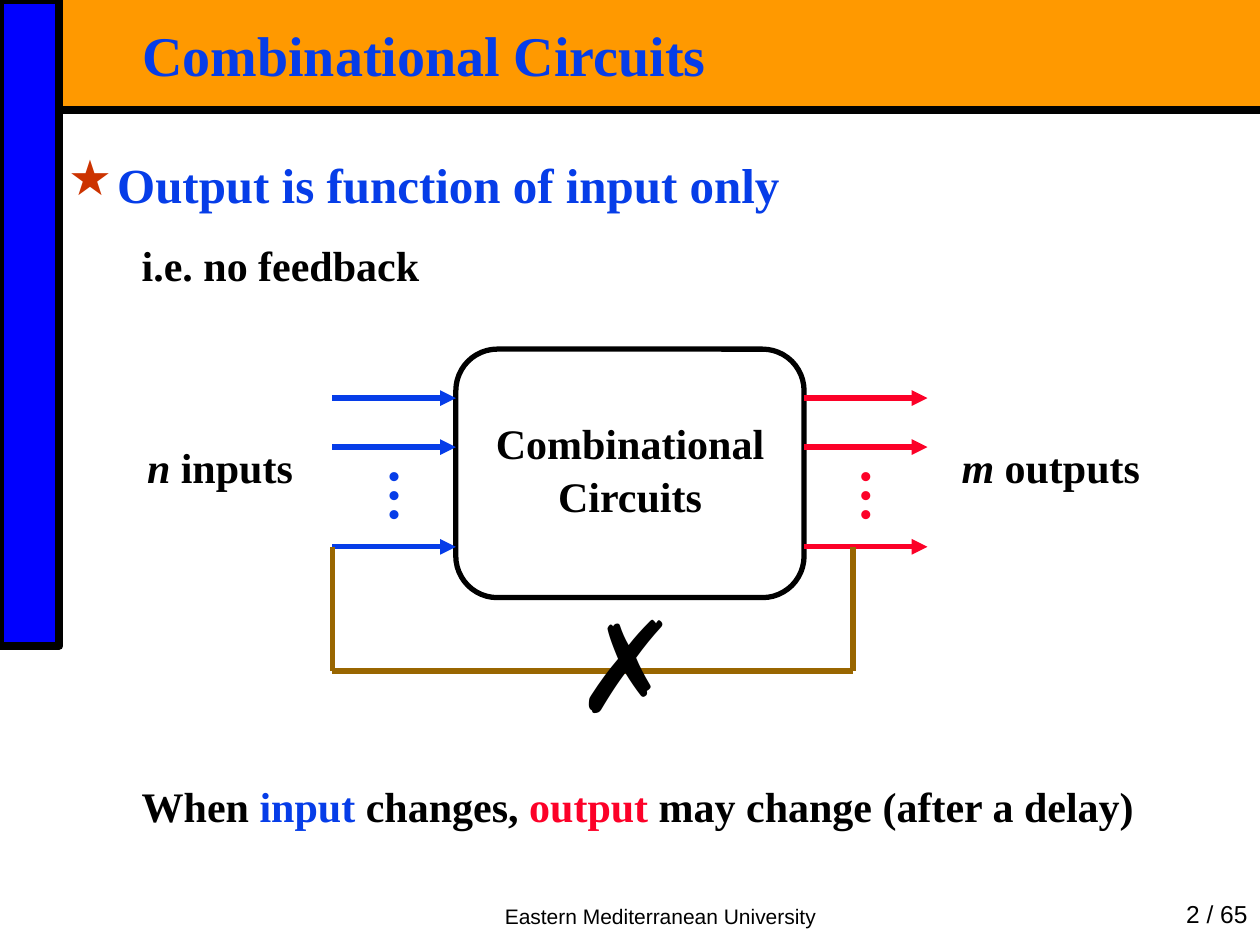
import pptx
import pptx.dml.color
import pptx.enum.shapes
import pptx.enum.text
import pptx.oxml.ns
import pptx.util
import lxml.etree

Pt = pptx.util.Pt
RGB = pptx.dml.color.RGBColor
Align = pptx.enum.text.PP_ALIGN
Anchor = pptx.enum.text.MSO_ANCHOR
Shape = pptx.enum.shapes.MSO_SHAPE
qn = pptx.oxml.ns.qn

BLACK = RGB(0x00, 0x00, 0x00)
ORANGE = RGB(0xFF, 0x99, 0x00)
NAVY = RGB(0x00, 0x00, 0xFF)
BLUE = RGB(0x06, 0x3D, 0xE8)
RED = RGB(0xFC, 0x01, 0x28)
BROWN = RGB(0x99, 0x66, 0x00)
RUST = RGB(0xCC, 0x33, 0x00)


class Deck:
    serif = "Times New Roman"
    sans = "Arial"
    thin = 3
    thick = 4.5

    def __init__(self):
        self.file = pptx.Presentation()
        self.file.slide_width = Pt(720)
        self.file.slide_height = Pt(540)
        self.slide = self.file.slides.add_slide(self.file.slide_layouts[6])

    def block(self, kind, area, fill=None, width=None):
        shape = self.slide.shapes.add_shape(kind, *map(Pt, area))
        shape.shadow.inherit = False
        if fill is None:
            shape.fill.background()
        else:
            shape.fill.solid()
            shape.fill.fore_color.rgb = fill
        if width is None:
            shape.line.fill.background()
        else:
            shape.line.color.rgb = BLACK
            shape.line.width = Pt(width)
        return shape

    def line(self, start, end, color, width=thin, arrow=False):
        link = self.slide.shapes.add_connector(
            pptx.enum.shapes.MSO_CONNECTOR.STRAIGHT, *map(Pt, start + end))
        link.line.color.rgb = color
        link.line.width = Pt(width)
        if arrow:
            outline = link.line._get_or_add_ln()
            lxml.etree.SubElement(outline, qn("a:tailEnd"), type="triangle")
        lxml.etree.SubElement(link._element.spPr, qn("a:effectLst"))

    def box(self, area, pad=(0, 0), anchor=Anchor.TOP):
        frame = self.slide.shapes.add_textbox(*map(Pt, area)).text_frame
        frame.word_wrap = True
        frame.vertical_anchor = anchor
        frame.margin_left = frame.margin_right = Pt(pad[0])
        frame.margin_top = frame.margin_bottom = Pt(pad[1])
        return frame

    def bullet(self, para, mark, color, indent):
        props = para._p.get_or_add_pPr()
        props.set("marL", str(Pt(indent)))
        props.set("indent", str(-Pt(indent)))
        tint = lxml.etree.SubElement(props, qn("a:buClr"))
        lxml.etree.SubElement(tint, qn("a:srgbClr"), val=str(color))
        lxml.etree.SubElement(props, qn("a:buChar"), char=mark)

    def text(self, frame, words, size, color=BLACK, face=serif, bold=True,
             align=Align.LEFT, gap=0, space=None, mark=None, left=0):
        first = frame.paragraphs[0]
        para = frame.add_paragraph() if first.runs else first
        if mark:
            self.bullet(para, mark, RUST, left)
        elif left:
            para._p.get_or_add_pPr().set("marL", str(Pt(left)))
        para.alignment = align
        if gap:
            para.space_before = Pt(gap)
        if space:
            para.line_spacing = space
        font = para.font
        font.name, font.size, font.bold = face, Pt(size), bold
        font.color.rgb = color
        for part in [words] if isinstance(words, str) else words:
            word, tint, slant = (part, None, False) if isinstance(part, str) else part
            run = para.add_run()
            run.text = word
            if tint:
                run.font.color.rgb = tint
            if slant:
                run.font.italic = True


def frame(deck):
    deck.block(Shape.RECTANGLE, (34, 0, 686, 60.5), ORANGE)
    deck.block(Shape.RECTANGLE, (0, 0, 34, 369), NAVY, deck.thick)
    deck.line((34, 63), (720, 63), BLACK, deck.thick)
    for area, words, size, align in (
            ((247, 511, 261, 23), "Eastern Mediterranean University", 12, Align.CENTER),
            ((626, 511, 94, 23), "2 / 65", 14, Align.RIGHT)):
        foot = deck.box(area, (7.2, 3.6), Anchor.BOTTOM)
        deck.text(foot, words, size, face=deck.sans, bold=False, align=align)


def prose(deck):
    pad = (5, 2.2)
    title = deck.box((76.3, 15, 623.5, 37.5), pad)
    deck.text(title, "Combinational Circuits", 32, BLUE, space=0.87)
    body = deck.box((34, 86, 652, 84), pad)
    deck.text(body, "Output is function of input only", 28, BLUE, mark="★", left=28)
    deck.text(body, "i.e. no feedback", 24, gap=15, left=42)
    note = deck.box((34, 443.5, 652, 32), pad)
    deck.text(note, ["When ", ("input", BLUE, False), " changes, ",
                     ("output", RED, False), " may change (after a delay)"], 24, left=42)


def diagram(deck):
    rows = (227.5, 255.5, 312.5)
    reach = 70.5
    round_box = deck.block(Shape.ROUNDED_RECTANGLE, (260.5, 199.5, 199, 142),
                           width=deck.thin)
    round_box.adjustments[0] = 0.167
    sides = ((190, BLUE, (76, 99.5), "n", " inputs"),
             (459.5, RED, (544, 113), "m", " outputs"))
    for start, color, (left, width), count, word in sides:
        for row in rows:
            deck.line((start, row), (start + reach, row), color, arrow=True)
        dots = deck.box((start + reach / 2 - 7, 270, 14, 32.5))
        for _ in range(3):
            deck.text(dots, "•", 18, color, deck.sans, align=Align.CENTER, space=0.5)
        label = deck.box((left, 255.5, width, 26))
        deck.text(label, [(count, None, True), word], 24, align=Align.CENTER, space=0.9)

    name = deck.box((275, 242, 170, 56))
    for gap, word in ((0, "Combinational"), (4.5, "Circuits")):
        deck.text(name, word, 24, align=Align.CENTER, gap=gap, space=0.9)

    loop = ((487.5, rows[-1]), (487.5, 383.5), (190, 383.5), (190, rows[-1]))
    for start, end in zip(loop, loop[1:]):
        deck.line(start, end, BROWN)
    cross = deck.box((323, 345, 70.5, 78))
    deck.text(cross, "✗", 72, face=deck.sans, align=Align.CENTER, space=0.9)


def main():
    deck = Deck()
    frame(deck)
    prose(deck)
    diagram(deck)
    deck.file.save("out.pptx")


if __name__ == "__main__":
    main()
